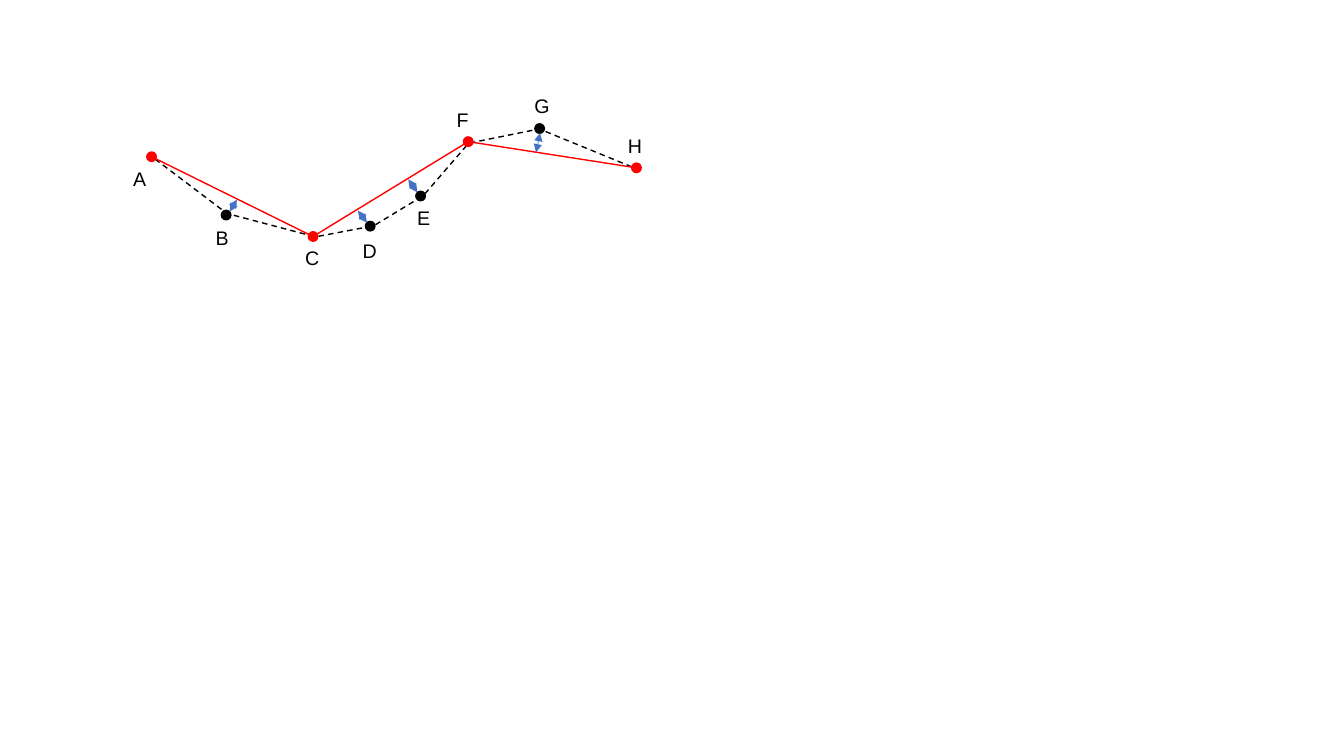
from lxml import etree
from pptx import Presentation
from pptx.dml.color import RGBColor
from pptx.enum.dml import MSO_LINE
from pptx.enum.shapes import MSO_CONNECTOR, MSO_SHAPE
from pptx.enum.text import MSO_ANCHOR, MSO_AUTO_SIZE, PP_ALIGN
from pptx.oxml.ns import qn
from pptx.util import Cm, Pt

OVAL = MSO_SHAPE.OVAL
STRAIGHT = MSO_CONNECTOR.STRAIGHT
DASH = MSO_LINE.DASH
CENTER = PP_ALIGN.CENTER
MIDDLE = MSO_ANCHOR.MIDDLE
FIT_SHAPE = MSO_AUTO_SIZE.SHAPE_TO_FIT_TEXT
NO_WRAP = False

BLACK, RED, BLUE = "000000", "FF0000", "4472C4"
DOT = 0.24
LABEL = 0.86

# name: (dot centre, label centre), in cm
POINTS = {
    "A": ((3.82, 3.95), (3.52, 4.5)),
    "B": ((5.7, 5.42), (5.6, 5.99)),
    "C": ((7.89, 5.96), (7.87, 6.5)),
    "D": ((9.33, 5.7), (9.32, 6.32)),
    "E": ((10.6, 4.94), (10.68, 5.49)),
    "F": ((11.8, 3.57), (11.66, 3.02)),
    "G": ((13.6, 3.24), (13.65, 2.67)),
    "H": ((16.04, 4.23), (16.0, 3.68)),
}
KEPT = "ACFH"
FULL_LINE = [(3.91, 4.01), (5.72, 5.38), (7.95, 5.97), (9.42, 5.69),
             (10.67, 4.93), (11.81, 3.61), (13.59, 3.25), (16.13, 4.29)]
DEVIATIONS = [((5.97, 5.03), (5.79, 5.33)), ((9.02, 5.31), (9.25, 5.61)),
              ((10.29, 4.52), (10.52, 4.85)), ((13.61, 3.35), (13.51, 3.84))]


def rgb(value):
    return RGBColor.from_string(value)


def add_polyline(points, color):
    start, *rest = [(Cm(x), Cm(y)) for x, y in points]
    builder = s.shapes.build_freeform(*start)
    builder.add_line_segments(rest, close=False)
    sp = builder.convert_to_shape()
    sp.shadow.inherit = False
    sp.fill.background()
    sp.line.color.rgb = rgb(color)
    sp.line.width = Pt(1)
    return sp


prs = Presentation()
prs.slide_width, prs.slide_height = Cm(33.87), Cm(19.05)
s = prs.slides.add_slide(prs.slide_layouts[6])

add_polyline(FULL_LINE, BLACK).line.dash_style = DASH

for name, ((x, y), _) in POINTS.items():
    color = rgb(RED if name in KEPT else BLACK)
    sp = s.shapes.add_shape(OVAL, Cm(x - DOT / 2), Cm(y - DOT / 2), Cm(DOT), Cm(DOT))
    sp.shadow.inherit = False
    sp.fill.solid()
    sp.fill.fore_color.rgb = color
    sp.line.color.rgb = color
    sp.line.width = Pt(1)

add_polyline([POINTS[name][0] for name in KEPT], RED)

for (x1, y1), (x2, y2) in DEVIATIONS:
    arrow = s.shapes.add_connector(STRAIGHT, Cm(x1), Cm(y1), Cm(x2), Cm(y2))
    arrow.line.color.rgb = rgb(BLUE)
    arrow.line.width = Pt(0.5)
    ln = arrow.line._get_or_add_ln()
    for end in ("a:headEnd", "a:tailEnd"):
        etree.SubElement(ln, qn(end), type="triangle")
    etree.SubElement(arrow._element.spPr, qn("a:effectLst"))

for name, (_, (x, y)) in POINTS.items():
    box = s.shapes.add_textbox(Cm(x - LABEL / 2), Cm(y - LABEL / 2), Cm(LABEL), Cm(LABEL))
    tf = box.text_frame
    tf.word_wrap = NO_WRAP
    tf.auto_size = FIT_SHAPE
    tf.vertical_anchor = MIDDLE
    p = tf.paragraphs[0]
    p.alignment = CENTER
    r = p.add_run()
    r.text = name
    r.font.name = "Arial"
    r.font.size = Pt(14)
    r.font.color.rgb = rgb(BLACK)

prs.save("out.pptx")
